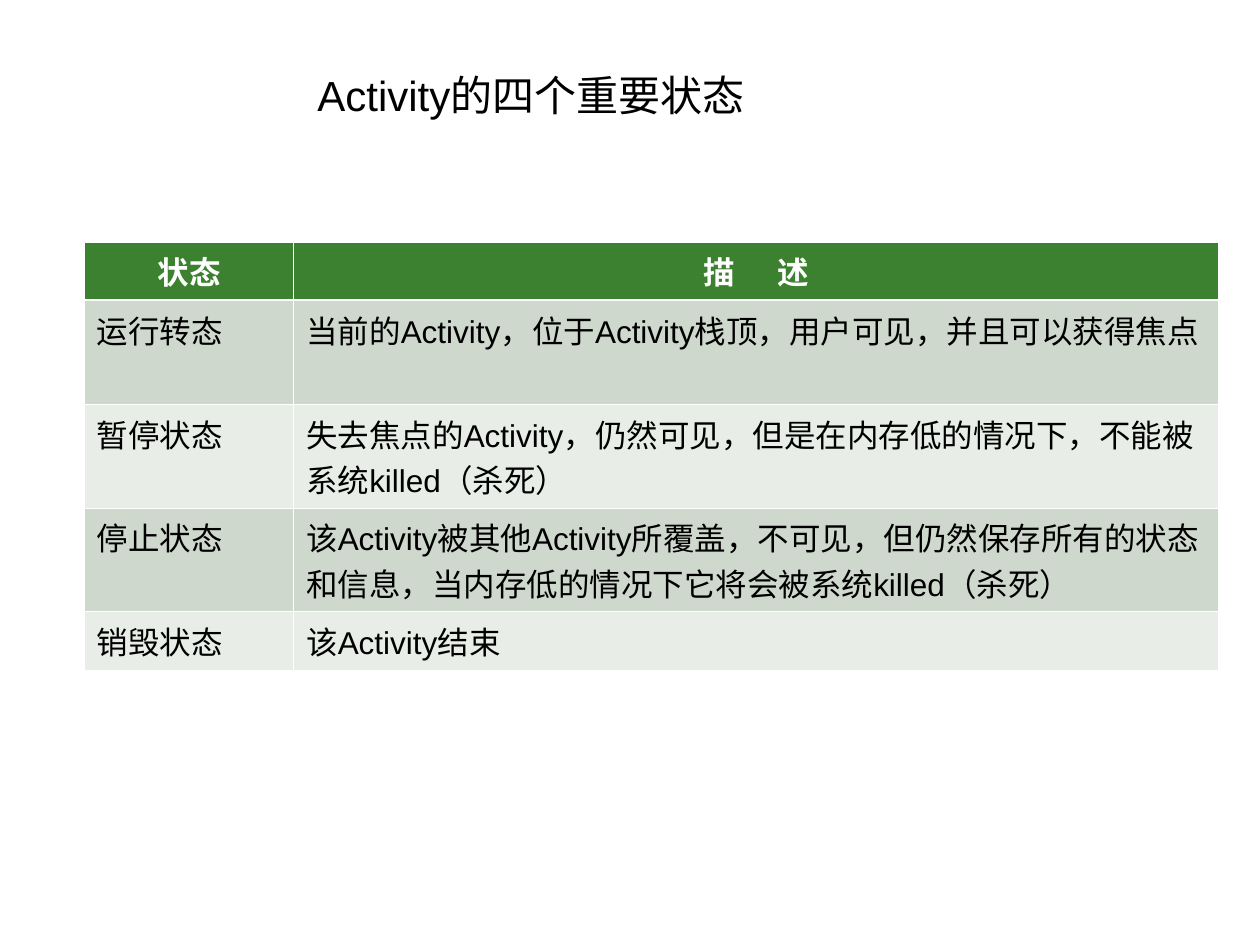
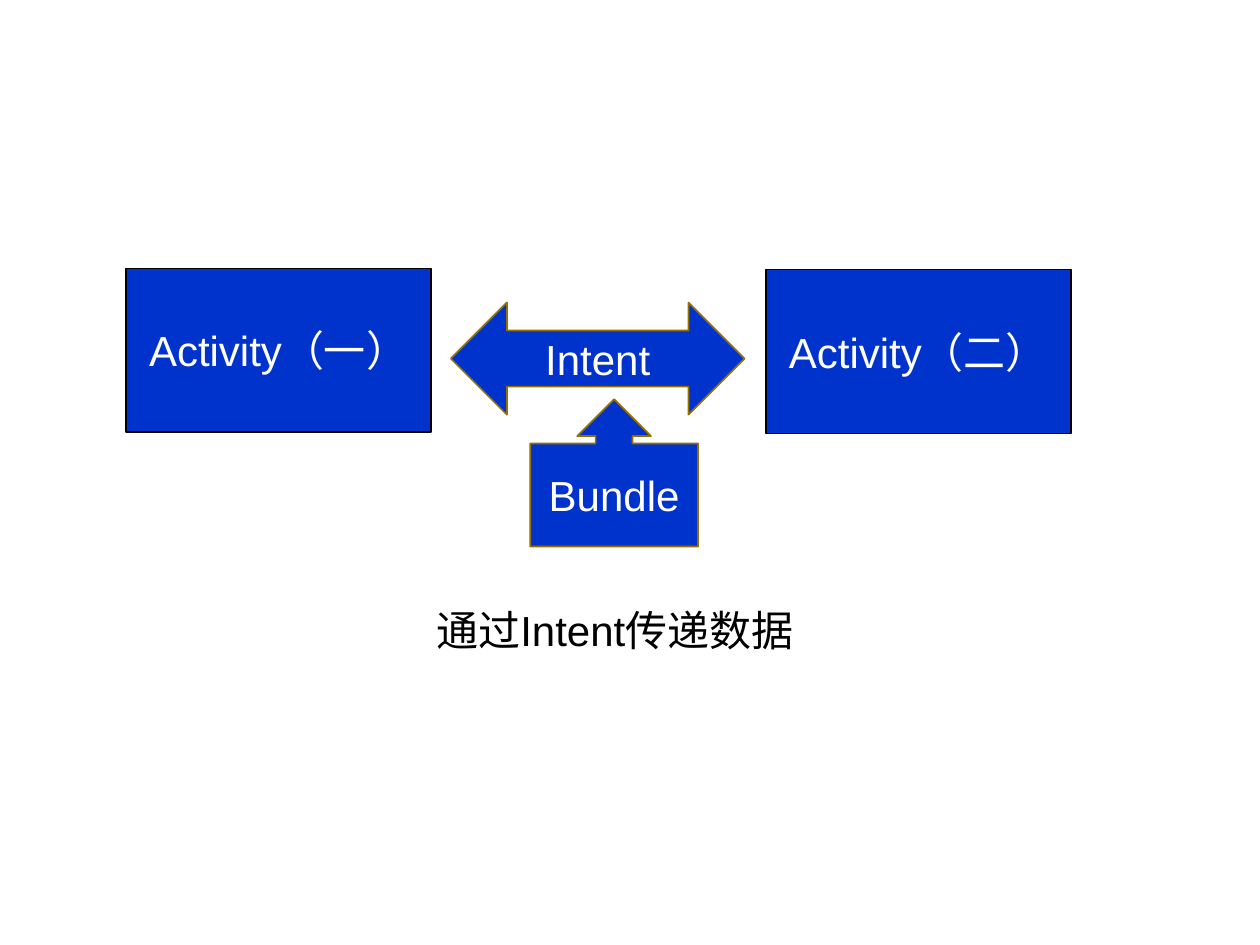
"""Builds two slides on activity states and passing data by intent."""
from lxml import etree
from pptx import Presentation, util as u
from pptx.dml.color import RGBColor
from pptx.enum import shapes, text
from pptx.oxml.ns import qn

FONT = "Arial"
BLACK, WHITE, BLUE, GOLD = "000000", "FFFFFF", "0033CC", "956F00"
GREEN, BANDS = "3B812F", ("CED8CD", "E8EDE8")
LEFT, MID = text.PP_ALIGN.LEFT, text.PP_ALIGN.CENTER
KIND = shapes.MSO_SHAPE

TITLE = "Activity的四个重要状态"
STATES = [
    ("状态", "描 述"),
    ("运行转态", "当前的Activity，位于Activity栈顶，用户可见，并且可以获得焦点"),
    ("暂停状态", "失去焦点的Activity，仍然可见，但是在内存低的情况下，不能被系统killed（杀死）"),
    ("停止状态", "该Activity被其他Activity所覆盖，不可见，但仍然保存所有的状态和信息，"
                 "当内存低的情况下它将会被系统killed（杀死）"),
    ("销毁状态", "该Activity结束"),
]
COLS = (4.22, 18.64)
ROWS = (1.02, 1.78, 1.78, 1.78, 1.02)
FLOW = [
    ("Activity（一）", KIND.RECTANGLE, (2.54, 5.41, 6.15, 3.3), BLACK, 0.75, ()),
    ("Activity（二）", KIND.RECTANGLE, (15.44, 5.44, 6.15, 3.3), BLACK, 0.75, ()),
    ("Intent", KIND.LEFT_RIGHT_ARROW, (9.09, 6.1, 5.92, 2.26), GOLD, 1, (0.5, 0.5)),
    ("Bundle", KIND.UP_ARROW_CALLOUT, (10.69, 8.05, 3.38, 2.97), GOLD, 1,
     (0.25, 0.25, 0.25, 0.7)),
]
CAPTION = "通过Intent传递数据"


def rgb(code):
    """Turn a hex string into a colour."""
    return RGBColor.from_string(code)


def place(box):
    """Turn centimetre numbers into lengths."""
    return [u.Cm(n) for n in box]


def write(frame, words, color, align=MID, size=24, bold=False):
    """Write one formatted line and return its run."""
    para = frame.paragraphs[0]
    para.alignment = align
    run = para.add_run()
    run.text = words
    for key, val in dict(name=FONT, size=u.Pt(size), bold=bold).items():
        setattr(run.font, key, val)
    run.font.color.rgb = rgb(color)
    return run


def label(slide, words, box, align=MID):
    """Add a wrapped text box."""
    frame = slide.shapes.add_textbox(*place(box)).text_frame
    frame.word_wrap = True
    write(frame, words, BLACK, align)


def edge(cell, widths):
    """Draw white cell borders from widths by side."""
    props = cell._tc.get_or_add_tcPr()
    for side, width in widths.items():
        line = etree.SubElement(props, qn(f"a:ln{side}"), w=str(u.Pt(width)))
        fill = etree.SubElement(line, qn("a:solidFill"))
        etree.SubElement(fill, qn("a:srgbClr"), val=WHITE)


def grid(slide):
    """Add the table of states."""
    box = place((1.7, 4.88, sum(COLS), sum(ROWS)))
    table = slide.shapes.add_table(len(ROWS), len(COLS), *box).table
    for col, width in zip(table.columns, COLS):
        col.width = u.Cm(width)
    for i, (pair, height) in enumerate(zip(STATES, ROWS)):
        table.rows[i].height = u.Cm(height)
        head = i == 0
        for j, words in enumerate(pair):
            cell = table.cell(i, j)
            edge(cell, dict(L=0.45, R=0.45, T=1.47 if i == 1 else 0.45,
                            B=1.47 if head else 0.45))
            cell.fill.solid()
            cell.fill.fore_color.rgb = rgb(GREEN if head else BANDS[(i - 1) % 2])
            style = (WHITE, MID, 18, True) if head else (BLACK, LEFT, 18, False)
            first, gap, last = words.partition(" ")
            run = write(cell.text_frame, first + gap, *style)
            if gap:
                run._r.get_or_add_rPr().set("spc", "1000")
                write(cell.text_frame, last, *style)


def block(slide, words, kind, box, edging, width, turns):
    """Add a blue shape with a white label."""
    shape = slide.shapes.add_shape(kind, *place(box))
    shape.shadow.inherit = False
    shape.fill.solid()
    shape.fill.fore_color.rgb = rgb(BLUE)
    shape.line.color.rgb = rgb(edging)
    shape.line.width = u.Pt(width)
    for i, turn in enumerate(turns):
        shape.adjustments[i] = turn
    shape.text_frame.word_wrap = True
    shape.text_frame.vertical_anchor = text.MSO_ANCHOR.MIDDLE
    write(shape.text_frame, words, WHITE)


def main():
    """Build and save the slides."""
    deck = Presentation()
    deck.slide_width, deck.slide_height = place((25.4, 19.05))
    states, flow = [deck.slides.add_slide(deck.slide_layouts[6]) for _ in range(2)]
    grid(states)
    label(states, TITLE, (6.15, 1.27, 12.7, 1.27), LEFT)
    for part in FLOW:
        block(flow, *part)
    label(flow, CAPTION, (8.05, 12.07, 8.69, 1.27))
    deck.save("out.pptx")


if __name__ == "__main__":
    main()
